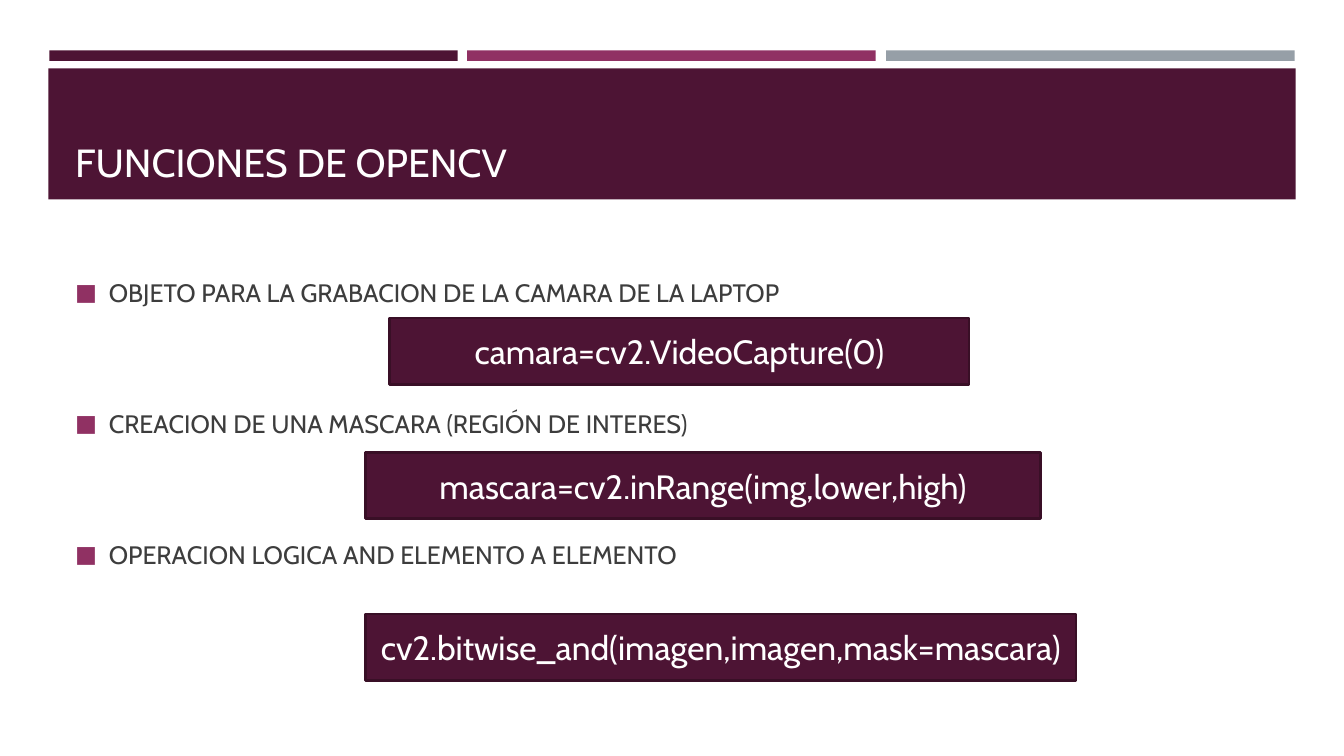
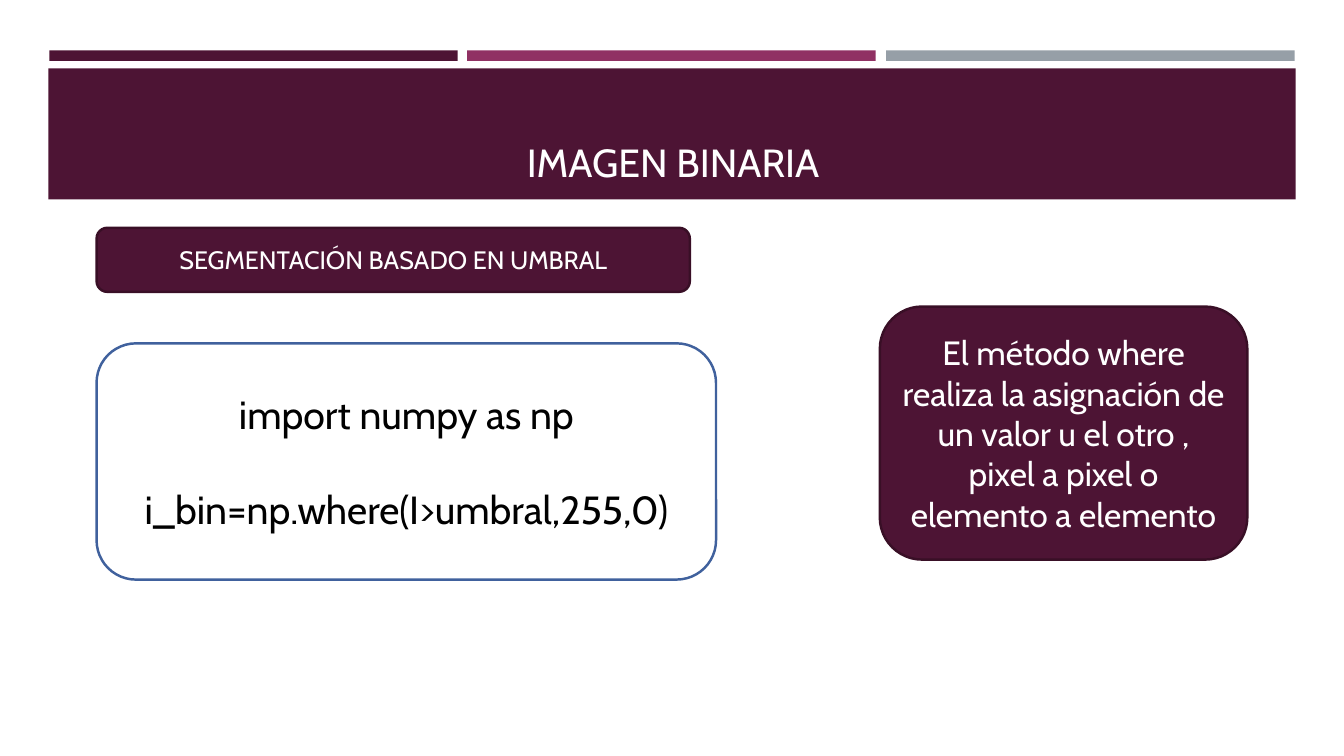
from dataclasses import dataclass

from lxml import etree
from pptx import Presentation
from pptx.dml.color import RGBColor
from pptx.enum.shapes import MSO_SHAPE
from pptx.enum.text import MSO_ANCHOR, MSO_AUTO_SIZE, PP_ALIGN
from pptx.oxml.ns import qn
from pptx.presentation import Presentation as Deck
from pptx.shapes.base import BaseShape
from pptx.slide import Slide
from pptx.text.text import TextFrame
from pptx.util import Emu, Pt

RECTANGLE = MSO_SHAPE.RECTANGLE
ROUNDED = MSO_SHAPE.ROUNDED_RECTANGLE
TOP, MIDDLE, BOTTOM = MSO_ANCHOR.TOP, MSO_ANCHOR.MIDDLE, MSO_ANCHOR.BOTTOM
LEFT, CENTER = PP_ALIGN.LEFT, PP_ALIGN.CENTER
NO_AUTOFIT = MSO_AUTO_SIZE.NONE

EMU_PER_PX = 9525
FONT = "Cabin"
PLUM, PLUM_EDGE, MAGENTA, GRAY = "4D1434", "390F26", "903163", "969FA7"
WHITE, BLACK, BODY_TEXT, BLUE_EDGE = "FFFFFF", "000000", "3D3D3D", "40619D"
TITLE_AND_BODY, TITLE_ONLY = 1, 5


@dataclass(frozen=True)
class Area:
    left: int
    top: int
    width: int
    height: int


@dataclass(frozen=True)
class Panel:
    area: Area
    lines: tuple[str, ...] = ()
    size: int = 24
    kind: int = RECTANGLE
    fill: str = PLUM
    edge: str | None = PLUM_EDGE
    color: str = WHITE
    gap: int = 0


TITLE_AREA = Area(62, 74, 1158, 107)
BODY_AREA = Area(62, 228, 1158, 386)
BODY_INSET = 36
BULLET_INDENT = 32
BULLET_GAP = 72

MASTER_PANELS = [
    Panel(Area(47 + index * 797 // 2, 48, 389, 10), fill=color, edge=None)
    for index, color in enumerate((PLUM, MAGENTA, GRAY))
] + [Panel(Area(46, 65, 1188, 125), edge=None)]

FUNCTIONS = (
    "OBJETO PARA LA GRABACION DE LA CAMARA DE LA LAPTOP",
    "CREACION DE UNA MASCARA (REGIÓN DE INTERES)",
    "OPERACION LOGICA AND ELEMENTO A ELEMENTO",
)
CODE_PANELS = (
    Panel(Area(371, 303, 552, 63), ("camara=cv2.VideoCapture(0)",)),
    Panel(Area(348, 431, 643, 63), ("mascara=cv2.inRange(img,lower,high)",)),
    Panel(Area(348, 585, 677, 63), ("cv2.bitwise_and(imagen,imagen,mask=mascara)",)),
)
BINARY_PANELS = (
    Panel(
        Area(92, 327, 590, 225),
        ("import numpy as np", "i_bin=np.where(I>umbral,255,0)"),
        size=28, kind=ROUNDED, fill=WHITE, edge=BLUE_EDGE, color=BLACK, gap=34,
    ),
    Panel(Area(92, 217, 565, 61), ("SEGMENTACIÓN BASADO EN UMBRAL",), size=18, kind=ROUNDED),
    Panel(
        Area(838, 292, 350, 241),
        ("El método where realiza la asignación de un valor u el otro , "
         "pixel a pixel o elemento a elemento",),
        kind=ROUNDED,
    ),
)


def px(length: int) -> Emu:
    return Emu(length * EMU_PER_PX)


def rgb(color: str) -> RGBColor:
    return RGBColor.from_string(color)


def add_bullet(paragraph_properties: etree._Element) -> None:
    paragraph_properties.set("marL", str(px(BULLET_INDENT)))
    paragraph_properties.set("indent", str(-px(BULLET_INDENT)))
    bullet_color = etree.SubElement(paragraph_properties, qn("a:buClr"))
    etree.SubElement(bullet_color, qn("a:srgbClr"), val=MAGENTA)
    etree.SubElement(paragraph_properties, qn("a:buSzPct"), val="92000")
    etree.SubElement(paragraph_properties, qn("a:buFont"), typeface=FONT)
    etree.SubElement(paragraph_properties, qn("a:buChar"), char="■")


def write_lines(
    frame: TextFrame,
    lines: tuple[str, ...],
    size: int,
    color: str,
    align: PP_ALIGN,
    anchor: MSO_ANCHOR,
    gap: int = 0,
    bulleted: bool = False,
) -> None:
    frame.word_wrap = True
    frame.auto_size = NO_AUTOFIT
    frame.vertical_anchor = anchor
    for index, line in enumerate(lines):
        paragraph = frame.add_paragraph() if index else frame.paragraphs[0]
        paragraph.text = line
        if bulleted:
            add_bullet(paragraph._p.get_or_add_pPr())
        paragraph.alignment = align
        paragraph.space_before = Pt(gap if index else 0)
        paragraph.space_after = Pt(0)
        paragraph.font.name = FONT
        paragraph.font.size = Pt(size)
        paragraph.font.color.rgb = rgb(color)


def place(shape: BaseShape, area: Area) -> None:
    shape.left, shape.top = px(area.left), px(area.top)
    shape.width, shape.height = px(area.width), px(area.height)


def draw_panel(slide: Slide, panel: Panel) -> BaseShape:
    area = panel.area
    shape = slide.shapes.add_shape(
        panel.kind, px(area.left), px(area.top), px(area.width), px(area.height)
    )
    shape.shadow.inherit = False
    shape.fill.solid()
    shape.fill.fore_color.rgb = rgb(panel.fill)
    if panel.edge:
        shape.line.color.rgb = rgb(panel.edge)
        shape.line.width = Pt(1.75)
    else:
        shape.line.fill.background()
    if panel.lines:
        write_lines(
            shape.text_frame, panel.lines, panel.size, panel.color, CENTER, MIDDLE, panel.gap
        )
    return shape


def move_to_master(deck: Deck, slide: Slide) -> None:
    tree = deck.slide_master.shapes._spTree
    for index, panel in enumerate(MASTER_PANELS):
        element = draw_panel(slide, panel)._element
        element.nvSpPr.cNvPr.set("id", str(100 + index))
        tree.insert(2 + index, element)


def add_page(deck: Deck, layout: int, title: str, align: PP_ALIGN) -> Slide:
    page = deck.slides.add_slide(deck.slide_layouts[layout])
    place(page.shapes.title, TITLE_AREA)
    write_lines(page.shapes.title.text_frame, (title,), 28, WHITE, align, BOTTOM)
    return page


def build_functions_page(deck: Deck) -> Slide:
    page = add_page(deck, TITLE_AND_BODY, "FUNCIONES DE OPENCV", LEFT)
    body = page.placeholders[1]
    place(body, BODY_AREA)
    write_lines(
        body.text_frame, FUNCTIONS, 18, BODY_TEXT, LEFT, TOP, BULLET_GAP, bulleted=True
    )
    body.text_frame.margin_top = px(BODY_INSET)
    for panel in CODE_PANELS:
        draw_panel(page, panel)
    return page


def build_binary_page(deck: Deck) -> None:
    page = add_page(deck, TITLE_ONLY, "IMAGEN BINARIA", CENTER)
    for panel in BINARY_PANELS:
        draw_panel(page, panel)


def main() -> None:
    deck = Presentation()
    deck.slide_width, deck.slide_height = px(1280), px(720)
    functions_page = build_functions_page(deck)
    move_to_master(deck, functions_page)
    build_binary_page(deck)
    deck.save("out.pptx")


if __name__ == "__main__":
    main()
